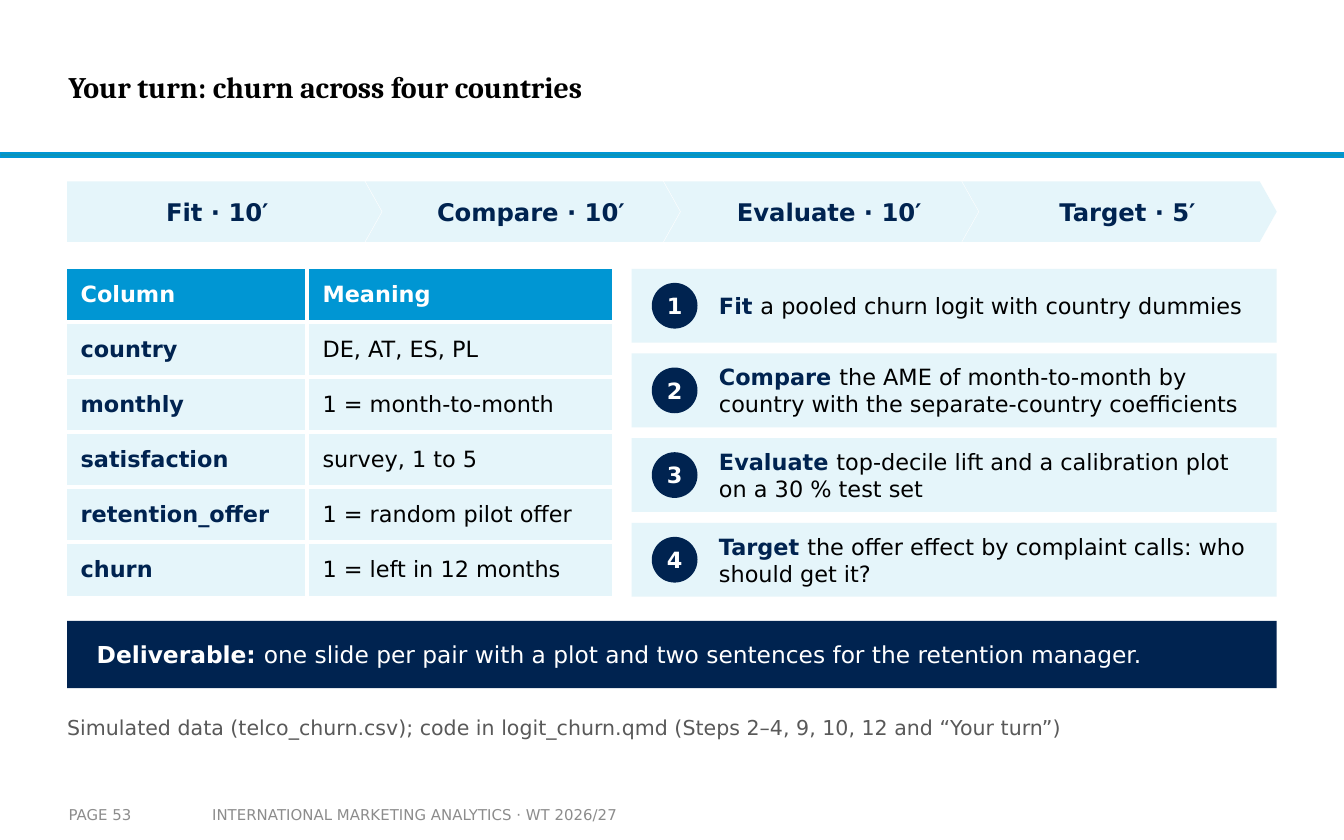
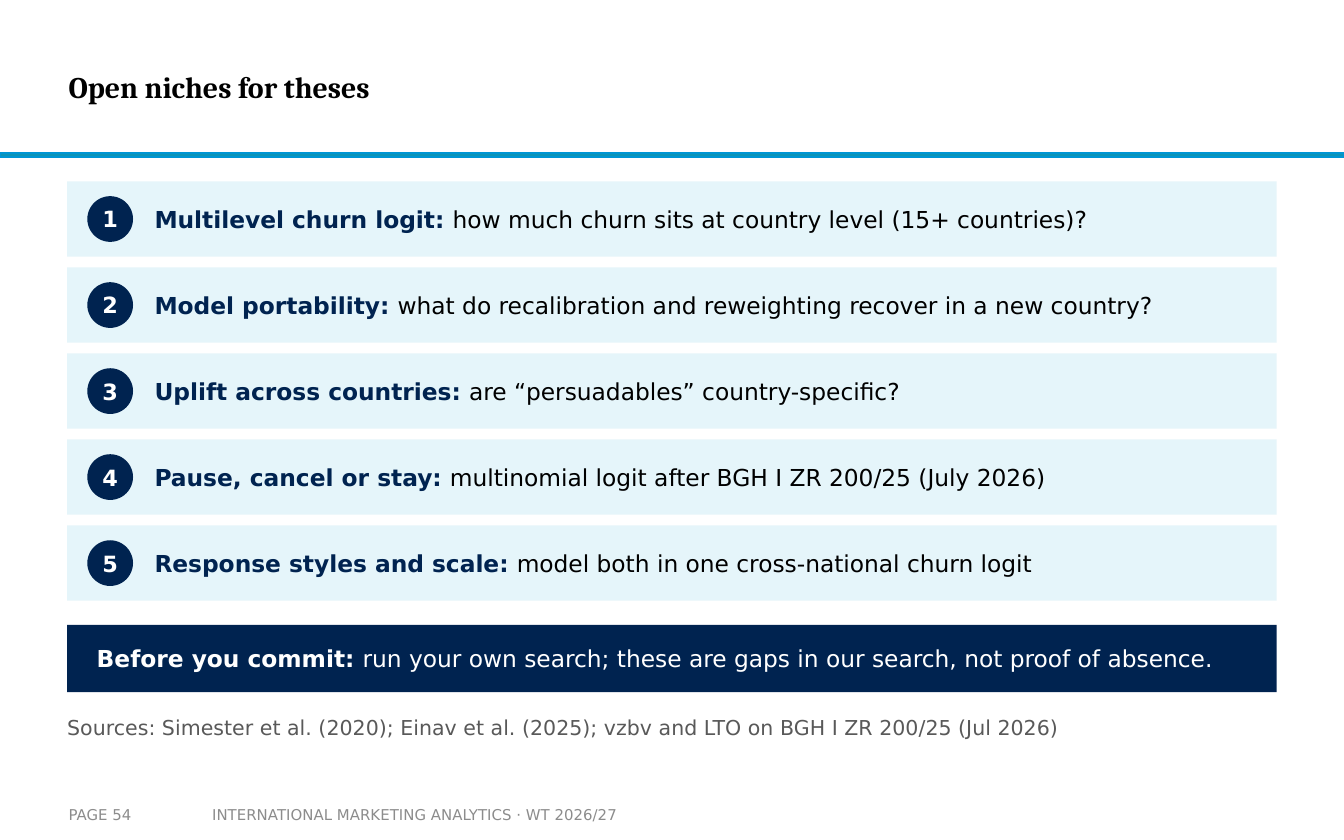
"""Builds two seminar slides: a churn exercise and a list of thesis topics."""
from dataclasses import dataclass

from lxml.etree import SubElement
from pptx import Presentation
from pptx.dml.color import RGBColor
from pptx.enum.shapes import MSO_SHAPE as Shape
from pptx.enum.text import MSO_ANCHOR as Anchor, MSO_AUTO_SIZE as AutoSize, PP_ALIGN as Align
from pptx.oxml.ns import qn
from pptx.util import Inches, Pt


@dataclass(frozen=True)
class Theme:
    """Colours, fonts and type sizes shared by the slides."""
    white: str = "FFFFFF"
    black: str = "000000"
    navy: str = "002350"
    blue: str = "0096D3"
    teal: str = "0C94B7"
    pale: str = "E5F5FA"
    source_grey: str = "595959"
    footer_grey: str = "8C8C8C"
    heading: str = "Cambria"
    body: str = "DejaVu Sans"
    title_size: float = 16
    step_size: float = 13
    large_size: float = 12.5
    text_size: float = 12
    source_size: float = 11
    footer_size: float = 8


@dataclass(frozen=True)
class Grid:
    """A grid of 100 columns by 62.5 rows of square cells."""
    cell: float = 0.1
    columns: float = 100
    rows: float = 62.5
    left: float = 5
    width: float = 90
    top: float = 13.5
    gap: float = 0.8

    def length(self, cells):
        """Return a number of cells as a length."""
        return Inches(cells * self.cell)


class Deck:
    """Holds the theme, the grid and the current slide."""

    def __init__(self, first_page, course):
        """Start a presentation with numbered pages for a course."""
        self.theme, self.grid = Theme(), Grid()
        self.page, self.course = first_page, course
        self.presentation = Presentation()
        self.presentation.slide_width = self.grid.length(self.grid.columns)
        self.presentation.slide_height = self.grid.length(self.grid.rows)
        self.layout = self.presentation.slide_layouts[5]
        self.slide = None

    def box(self, *cells):
        """Return cell positions and sizes as lengths."""
        return [self.grid.length(value) for value in cells]

    def style(self, run, size, color, bold=False, font=None):
        """Format one run."""
        run.font.name = font or self.theme.body
        run.font.size = Pt(size)
        run.font.bold = bold
        run.font.color.rgb = RGBColor.from_string(color)

    def frame(self, shape, margins=(0, 0, 0, 0)):
        """Prepare a text frame that is wrapped and centred vertically."""
        frame = shape.text_frame
        frame.word_wrap = True
        frame.auto_size = AutoSize.NONE
        frame.vertical_anchor = Anchor.MIDDLE
        (frame.margin_left, frame.margin_top,
         frame.margin_right, frame.margin_bottom) = self.box(*margins)
        return frame

    def label(self, shape, text, size, color, bold=False, font=None,
              align=Align.LEFT, margins=(0, 0, 0, 0)):
        """Put one formatted paragraph into a shape."""
        frame = self.frame(shape, margins)
        frame.text = text
        paragraph = frame.paragraphs[0]
        paragraph.alignment = align
        self.style(paragraph.runs[0], size, color, bold, font)

    def text(self, cells, text, size, color, **options):
        """Add a text box."""
        shape = self.slide.shapes.add_textbox(*self.box(*cells))
        self.label(shape, text, size, color, **options)

    def lead_text(self, cells, lead, rest, size, lead_color, rest_color):
        """Add a text box that opens with a bold lead."""
        shape = self.slide.shapes.add_textbox(*self.box(*cells))
        paragraph = self.frame(shape).paragraphs[0]
        paragraph.text = lead + " "
        paragraph.add_run().text = rest
        self.style(paragraph.runs[0], size, lead_color, bold=True)
        self.style(paragraph.runs[1], size, rest_color)

    def shape(self, kind, cells, fill):
        """Add a filled shape without outline or shadow."""
        shape = self.slide.shapes.add_shape(kind, *self.box(*cells))
        shape.shadow.inherit = False
        shape.fill.solid()
        shape.fill.fore_color.rgb = RGBColor.from_string(fill)
        shape.line.fill.background()
        return shape

    def master_rule(self):
        """Draw the rule below the title and move it to the slide master."""
        rule = self.shape(Shape.RECTANGLE, (0, 11.4, self.grid.columns, 0.3), self.theme.teal)
        rule.line.color.rgb = RGBColor.from_string(self.theme.blue)
        rule.line.width = Pt(1)
        rule.element.nvSpPr.cNvPr.id = 50
        self.layout.slide_master.shapes.element.insert_element_before(rule.element, "p:extLst")

    def add_slide(self, title):
        """Start a slide with its title and footer."""
        theme = self.theme
        is_first = self.slide is None
        self.slide = self.presentation.slides.add_slide(self.layout)
        if is_first:
            self.master_rule()
        heading = self.slide.shapes.title
        heading.left, heading.top, heading.width, heading.height = self.box(5.1, 1.5, 74.8, 9.9)
        self.label(heading, title, theme.title_size, theme.black, bold=True, font=theme.heading)
        self.text((14.8, 59.2, 35.2, 2.8), self.course, theme.footer_size,
                  theme.footer_grey, margins=(1, 0.5, 1, 0.5))
        self.text((5.1, 59.2, 9.8, 2.8), f"PAGE {self.page}", theme.footer_size,
                  theme.footer_grey, margins=(0, 0.5, 0, 0.5))
        self.page += 1

    def steps(self, labels):
        """Add a row of process arrows."""
        width, overlap = 23.4, 1.2
        for index, label in enumerate(labels):
            kind, inset = (Shape.CHEVRON, 2.6) if index else (Shape.PENTAGON, 1)
            left = self.grid.left + index * (width - overlap)
            arrow = self.shape(kind, (left, self.grid.top, width, 4.5), self.theme.pale)
            arrow.adjustments[0] = 0.28
            self.label(arrow, label, self.theme.step_size, self.theme.navy, bold=True,
                       align=Align.CENTER, margins=(inset, 0.2, 1.4, 0.2))

    def table(self, left, top, widths, row_height, rows):
        """Add a table with white rules, a header row and bold row names."""
        theme = self.theme
        cells = (left, top, sum(widths), row_height * len(rows))
        table = self.slide.shapes.add_table(len(rows), len(widths), *self.box(*cells)).table
        table.horz_banding = False
        for column, width in zip(table.columns, widths):
            column.width = self.grid.length(width)
        for row_index, row in enumerate(rows):
            table.rows[row_index].height = self.grid.length(row_height)
            for column_index, label in enumerate(row):
                is_header, is_name = row_index == 0, column_index == 0
                color = theme.white if is_header else theme.navy if is_name else theme.black
                self.table_cell(table.cell(row_index, column_index), label, color,
                                theme.blue if is_header else theme.pale, is_header or is_name)

    def table_cell(self, cell, label, color, fill, bold):
        """Fill, rule and label one table cell."""
        cell.text = label
        cell.vertical_anchor = Anchor.MIDDLE
        (cell.margin_left, cell.margin_top,
         cell.margin_right, cell.margin_bottom) = self.box(1.15, 0, 1, 0)
        self.style(cell.text_frame.paragraphs[0].runs[0], self.theme.text_size, color, bold)
        properties = cell._tc.get_or_add_tcPr()
        for side in ("a:lnL", "a:lnR", "a:lnT", "a:lnB"):
            line = SubElement(properties, qn(side), w=str(self.grid.length(0.3)))
            solid = SubElement(line, qn("a:solidFill"))
            SubElement(solid, qn("a:srgbClr"), val=self.theme.white)
        cell.fill.solid()
        cell.fill.fore_color.rgb = RGBColor.from_string(fill)

    def numbered_cards(self, left, top, width, height, size, items):
        """Add a stack of numbered cards."""
        theme, badge = self.theme, 3.4
        for index, (lead, rest) in enumerate(items):
            card_top = top + index * (height + self.grid.gap)
            self.shape(Shape.RECTANGLE, (left, card_top, width, height), theme.pale)
            circle = self.shape(Shape.OVAL, (left + 1.5, card_top + (height - badge) / 2,
                                             badge, badge), theme.navy)
            self.label(circle, str(index + 1), theme.text_size, theme.white, bold=True,
                       align=Align.CENTER)
            self.lead_text((left + 6.5, card_top, width - 8, height), lead, rest, size,
                           theme.navy, theme.black)

    def callout(self, top, lead, rest):
        """Add the dark band with the key message."""
        grid, theme, inset, height = self.grid, self.theme, 2.2, 5
        self.shape(Shape.RECTANGLE, (grid.left, top, grid.width, height), theme.navy)
        self.lead_text((grid.left + inset, top, grid.width - 2 * inset, height), lead, rest,
                       theme.large_size, theme.white, theme.white)

    def source(self, text):
        """Add the source line."""
        self.text((self.grid.left, 52.7, self.grid.width, 2.8), text,
                  self.theme.source_size, self.theme.source_grey)


def add_exercise(deck):
    """Add the churn exercise."""
    deck.add_slide("Your turn: churn across four countries")
    deck.steps(["Fit · 10′", "Compare · 10′", "Evaluate · 10′", "Target · 5′"])
    deck.table(4.85, 19.85, (18, 22.8), 4.1, [
        ("Column", "Meaning"),
        ("country", "DE, AT, ES, PL"),
        ("monthly", "1 = month-to-month"),
        ("satisfaction", "survey, 1 to 5"),
        ("retention_offer", "1 = random pilot offer"),
        ("churn", "1 = left in 12 months"),
    ])
    deck.numbered_cards(47, 20, 48, 5.5, deck.theme.text_size, [
        ("Fit", "a pooled churn logit with country dummies"),
        ("Compare", "the AME of month-to-month by country with the separate-country coefficients"),
        ("Evaluate", "top-decile lift and a calibration plot on a 30 % test set"),
        ("Target", "the offer effect by complaint calls: who should get it?"),
    ])
    deck.callout(46.2, "Deliverable:",
                 "one slide per pair with a plot and two sentences for the retention manager.")
    deck.source("Simulated data (telco_churn.csv); code in logit_churn.qmd "
                "(Steps 2–4, 9, 10, 12 and “Your turn”)")


def add_thesis_topics(deck):
    """Add the open thesis topics."""
    deck.add_slide("Open niches for theses")
    deck.numbered_cards(deck.grid.left, deck.grid.top, deck.grid.width, 5.6,
                        deck.theme.large_size, [
        ("Multilevel churn logit:", "how much churn sits at country level (15+ countries)?"),
        ("Model portability:", "what do recalibration and reweighting recover in a new country?"),
        ("Uplift across countries:", "are “persuadables” country-specific?"),
        ("Pause, cancel or stay:", "multinomial logit after BGH I ZR 200/25 (July 2026)"),
        ("Response styles and scale:", "model both in one cross-national churn logit"),
    ])
    deck.callout(46.5, "Before you commit:",
                 "run your own search; these are gaps in our search, not proof of absence.")
    deck.source("Sources: Simester et al. (2020); Einav et al. (2025); "
                "vzbv and LTO on BGH I ZR 200/25 (Jul 2026)")


def main():
    """Build and save the slides."""
    deck = Deck(53, "INTERNATIONAL MARKETING ANALYTICS · WT 2026/27")
    add_exercise(deck)
    add_thesis_topics(deck)
    deck.presentation.save("out.pptx")


if __name__ == "__main__":
    main()
